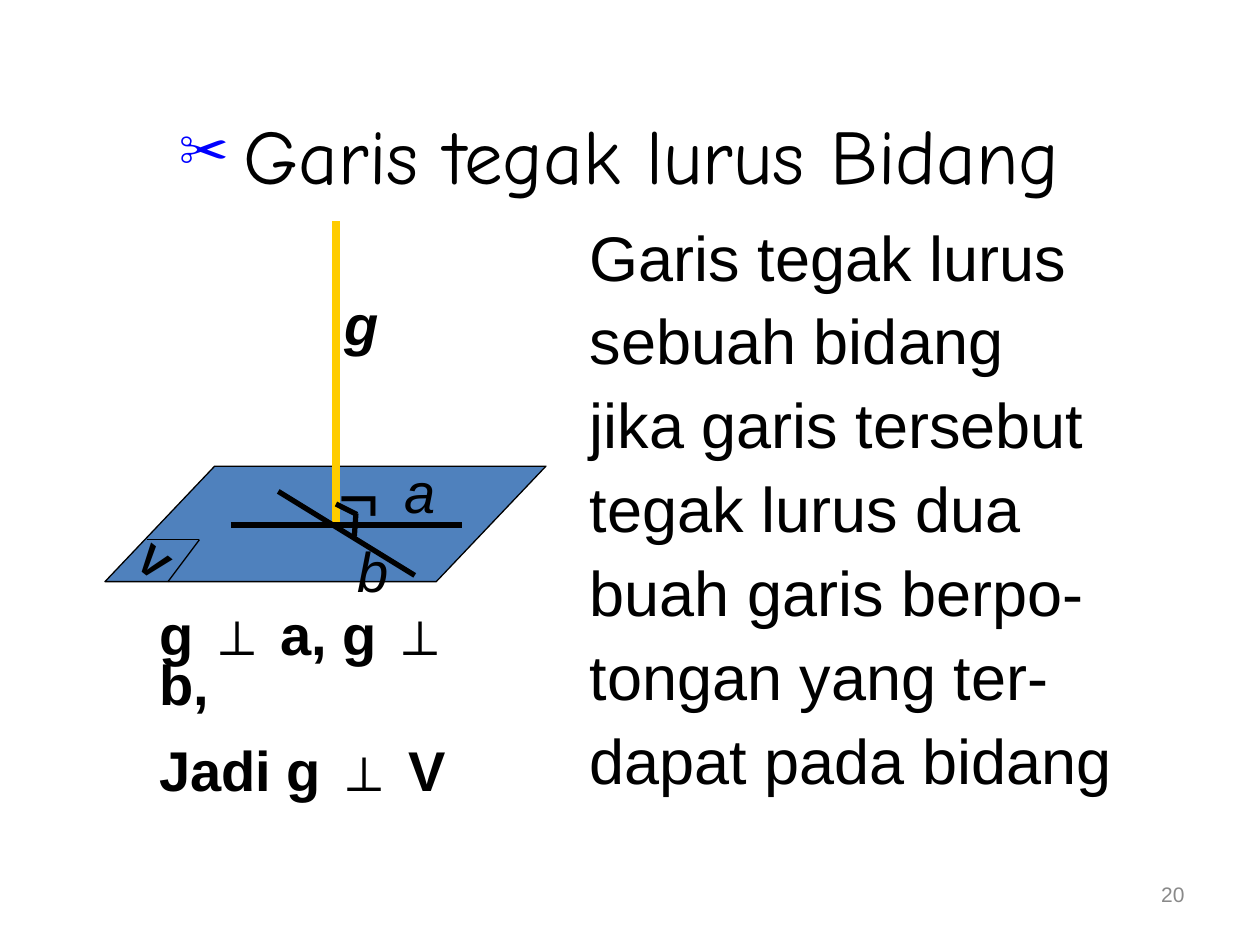
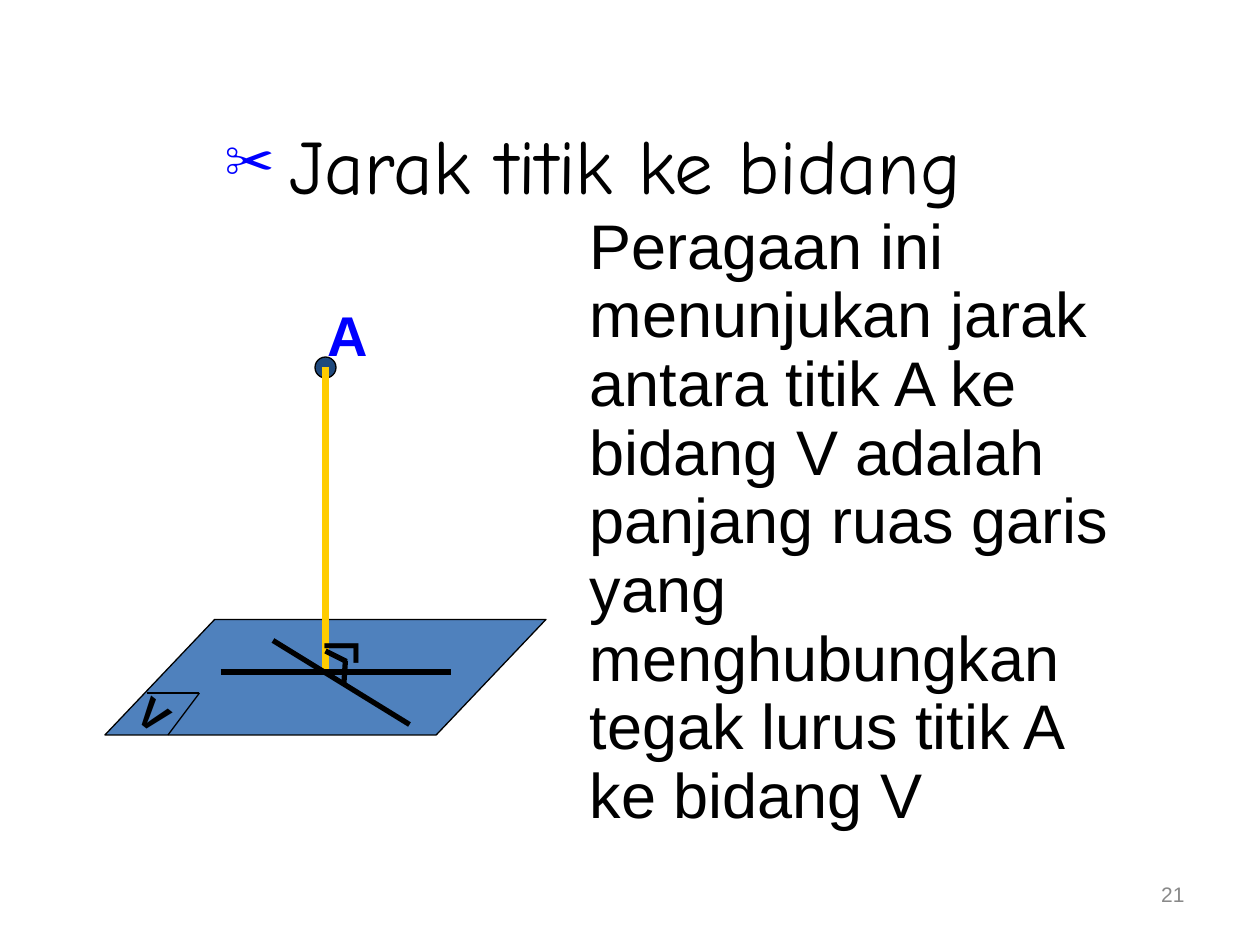
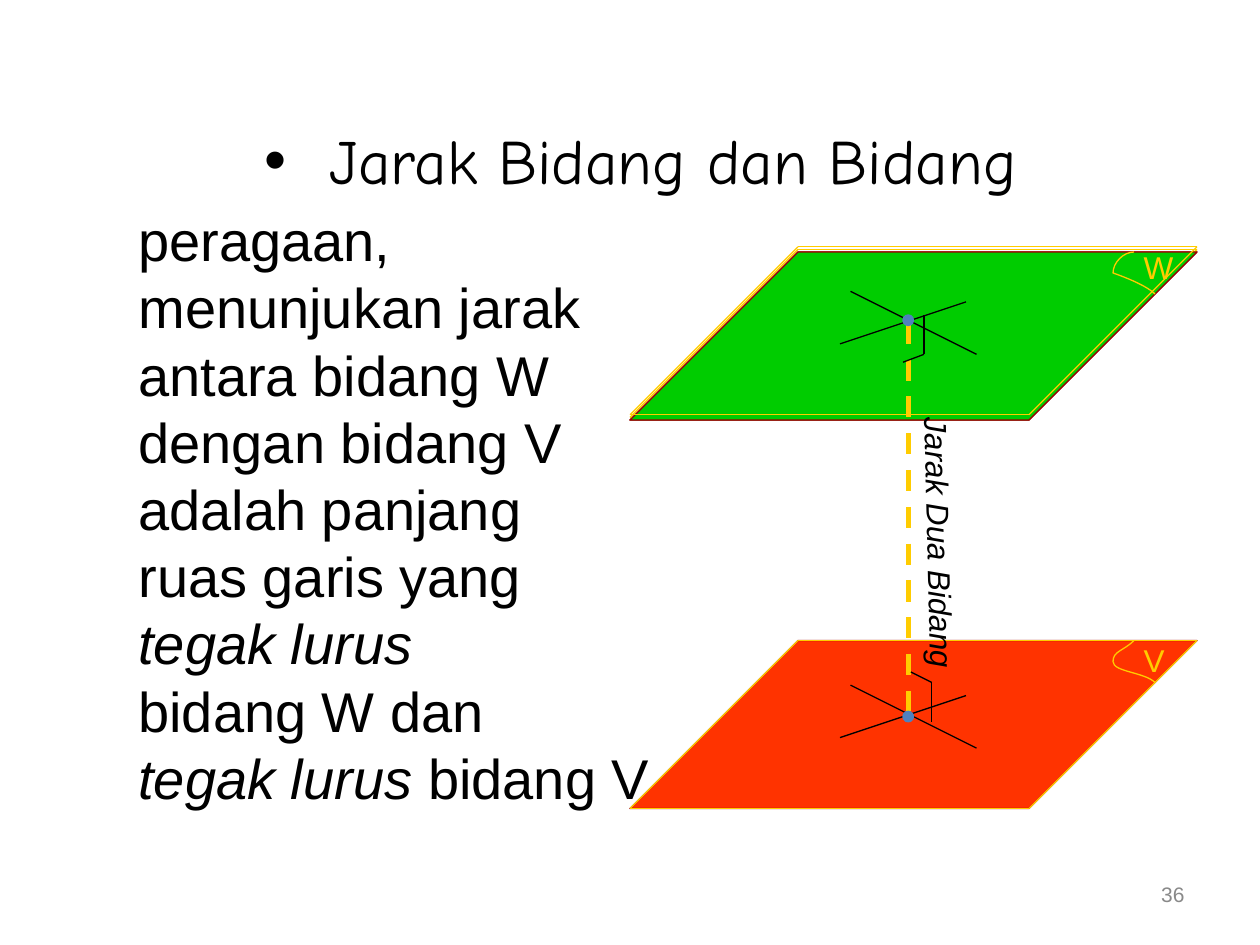
"""Builds three geometry slides on lines, points and planes."""
from dataclasses import dataclass
from typing import NamedTuple

from lxml.etree import SubElement
from pptx import Presentation
from pptx.dml.color import RGBColor
from pptx.enum.dml import MSO_LINE
from pptx.enum.shapes import MSO_CONNECTOR, MSO_SHAPE
from pptx.enum.text import MSO_ANCHOR, MSO_AUTO_SIZE, PP_ALIGN
from pptx.oxml.ns import qn
from pptx.util import Emu, Inches, Pt

COLUMNS, ROWS = 120, 90
WIDTH, HEIGHT = Inches(10), Inches(7.5)
CELL = WIDTH // COLUMNS

BLACK = RGBColor(0x00, 0x00, 0x00)
BLUE = RGBColor(0x00, 0x00, 0xFF)
GRAY = RGBColor(0x89, 0x89, 0x89)
STEEL = RGBColor(0x4F, 0x81, 0xBD)
NAVY = RGBColor(0x1F, 0x49, 0x7D)
GOLD = RGBColor(0xFF, 0xCC, 0x00)
RED = RGBColor(0xFF, 0x33, 0x00)
GREEN = RGBColor(0x00, 0xCC, 0x00)
MAROON = RGBColor(0x99, 0x00, 0x00)

BODY_FONT, TITLE_FONT = "Arial", "Comic Neue"
THIN, MEDIUM, THICK = 0.75, 3, 4.5


class Box(NamedTuple):
    """A place on the grid, in columns and rows."""
    x: float
    y: float
    w: float
    h: float


class Line(NamedTuple):
    """Two end points, in columns and rows."""
    x1: float
    y1: float
    x2: float
    y2: float


@dataclass
class Style:
    """Paragraph and font format of a text."""
    size: float
    color: RGBColor = BLACK
    bold: bool = False
    italic: bool = False
    font: str = BODY_FONT
    align: PP_ALIGN = PP_ALIGN.LEFT
    spacing: float = 1.0
    before: float = 0
    rotation: float = 0
    anchor: MSO_ANCHOR = MSO_ANCHOR.TOP


@dataclass
class Title:
    """A bulleted slide title."""
    text: str
    box: Box
    size: float
    bullet: str
    bullet_color: RGBColor
    bullet_percent: int
    spacing: float


@dataclass
class Perpendicular:
    """A line standing upright on a plane, with its crossing lines."""
    plane_top: float
    foot_x: float
    foot_y: float
    slant_dx: float
    slant_dy: float
    notch_dx: float


@dataclass
class Plane:
    """A slanted plane with a frame and a corner label."""
    name: str
    top: float
    lift: float
    fill: RGBColor


def cells(n: float) -> Emu:
    """Turn grid cells into a length."""
    return Emu(round(n * CELL))


def place(s, box: Box) -> None:
    """Move a shape to its box on the grid."""
    for name, value in zip(("left", "top", "width", "height"), box):
        setattr(s, name, cells(value))


def write(s, lines: list, style: Style) -> None:
    """Write paragraphs, each a string or a list of (text, italic) runs."""
    tf = s.text_frame
    frame = {"word_wrap": True, "auto_size": MSO_AUTO_SIZE.NONE,
             "vertical_anchor": style.anchor}
    for name, value in frame.items():
        setattr(tf, name, value)
    for i, line in enumerate(lines):
        p = tf.add_paragraph() if i else tf.paragraphs[0]
        form = {"alignment": style.align, "line_spacing": style.spacing,
                "space_before": Pt(style.before if i else 0)}
        for name, value in form.items():
            setattr(p, name, value)
        runs = [(line, style.italic)] if isinstance(line, str) else line
        for text, italic in runs:
            r = p.add_run()
            r.text = text
            font = {"size": Pt(style.size), "name": style.font,
                    "bold": style.bold, "italic": italic}
            for name, value in font.items():
                setattr(r.font, name, value)
            r.font.color.rgb = style.color


def add_text(slide, box: Box, lines: list, style: Style) -> None:
    """Add a text box."""
    s = slide.shapes.add_textbox(0, 0, CELL, CELL)
    place(s, box)
    s.rotation = style.rotation
    write(s, lines, style)


def add_bullet(p, title: Title) -> None:
    """Give a paragraph a hanging bullet."""
    pPr = p._p.get_or_add_pPr()
    pPr.set("marL", str(cells(6.2)))
    pPr.set("indent", str(-cells(6.2)))
    color = SubElement(pPr, qn("a:buClr"))
    SubElement(color, qn("a:srgbClr"), val=str(title.bullet_color))
    SubElement(pPr, qn("a:buSzPct"), val=str(title.bullet_percent * 1000))
    SubElement(pPr, qn("a:buFont"), typeface=BODY_FONT)
    SubElement(pPr, qn("a:buChar"), char=title.bullet)


def add_line(slide, line: Line, color: RGBColor = BLACK, width: float = THIN,
             dash=None) -> None:
    """Add a straight line."""
    s = slide.shapes.add_connector(MSO_CONNECTOR.STRAIGHT, *map(cells, line))
    s.line.color.rgb = color
    s.line.width = Pt(width)
    if dash:
        s.line.dash_style = dash
    SubElement(s._element.spPr, qn("a:effectLst"))


def paint(s, fill, line: RGBColor) -> None:
    """Set the fill and thin outline of a shape."""
    s.shadow.inherit = False
    if fill is None:
        s.fill.background()
    else:
        s.fill.solid()
        s.fill.fore_color.rgb = fill
    s.line.color.rgb = line
    s.line.width = Pt(THIN)


def add_preset(slide, kind: MSO_SHAPE, box: Box, fill: RGBColor,
               line: RGBColor = BLACK):
    """Add a preset shape."""
    s = slide.shapes.add_shape(kind, 0, 0, CELL, CELL)
    place(s, box)
    paint(s, fill, line)
    return s


def add_outline(slide, points: list, fill, line: RGBColor, close: bool):
    """Add a freeform through grid points."""
    builder = slide.shapes.build_freeform(*points[0], scale=CELL)
    builder.add_line_segments(points[1:], close=close)
    s = builder.convert_to_shape()
    paint(s, fill, line)
    return s


def add_curve(slide, points: list, color: RGBColor) -> None:
    """Add an open curve whose points after the first are Bezier triples."""
    s = add_outline(slide, points, None, color, False)
    outline = s._element.xpath(".//a:path")[0]
    segments = outline.findall(qn("a:lnTo"))
    for i in range(0, len(segments), 3):
        curve = SubElement(outline, qn("a:cubicBezTo"))
        for segment in segments[i:i + 3]:
            curve.append(segment[0])
            outline.remove(segment)


def add_slide(prs, title: Title, number: int):
    """Add a slide with its title and number."""
    slide = prs.slides.add_slide(prs.slide_layouts[5])
    s = slide.shapes.title
    place(s, title.box)
    add_bullet(s.text_frame.paragraphs[0], title)
    write(s, [title.text], Style(title.size, font=TITLE_FONT,
                                 align=PP_ALIGN.CENTER, spacing=title.spacing))
    add_text(slide, Box(86, 82, 28, 6.25), [str(number)],
             Style(12, GRAY, align=PP_ALIGN.RIGHT, anchor=MSO_ANCHOR.MIDDLE))
    return slide


def draw_perpendicular(slide, fig: Perpendicular) -> None:
    """Draw the plane, its upright line, crossing lines and angle marks."""
    x, y, top = fig.foot_x, fig.foot_y, fig.plane_top
    s = add_preset(slide, MSO_SHAPE.PARALLELOGRAM, Box(10, top, 42, 11), STEEL)
    s.adjustments[0] = 0.95
    if y - 29 > 30:
        add_preset(slide, MSO_SHAPE.OVAL, Box(x - 1, y - 30, 2, 2), NAVY)
    add_line(slide, Line(x, y, x, y - 29), GOLD, THICK)
    sx, sy = x + fig.slant_dx, y + fig.slant_dy
    for line in (Line(sx, sy, sx + 13, sy + 8),
                 Line(x - 10, y, x + 12, y),
                 Line(x, y - 2, x + 2, y - 1),
                 Line(x + 1.9, y - 1.1, x + 1.75, y + 1.1)):
        add_line(slide, line, width=MEDIUM)
    add_text(slide, Box(12, top + 6.6, 7, 6), ["V"],
             Style(24, bold=True, rotation=38.1))
    add_line(slide, Line(14, top + 7, 19, top + 7))
    add_line(slide, Line(19, top + 7, 16, top + 11))
    add_text(slide, Box(x + fig.notch_dx, y - 7.45, 6.1, 9.2), ["¬"], Style(40))


def draw_plane(slide, plane: Plane) -> None:
    """Draw a plane with its frame, corner arc and label."""
    corners = [(76, 0), (60, 16), (98, 16), (114, 0)]
    add_outline(slide, [(x, plane.top + y) for x, y in corners],
                plane.fill, MAROON, True)
    edge = plane.top - plane.lift
    for (x1, y1), (x2, y2) in zip(corners, corners[1:] + corners[:1]):
        add_line(slide, Line(x1, edge + y1, x2, edge + y2), GOLD)
    add_text(slide, Box(107.75, edge - 0.5, 5, 4.8), [plane.name],
             Style(18, GOLD))
    arc = [(108.1, 0), (106.95, 0.7), (105.8, 1.35), (106.15, 2.05),
           (106.5, 2.75), (109.1, 3.45), (110, 4)]
    add_curve(slide, [(x, edge + y) for x, y in arc], GOLD)


def draw_cross(slide, top: float) -> None:
    """Draw the two lines that cross inside a plane."""
    add_line(slide, Line(81, top + 4, 93, top + 10))
    add_line(slide, Line(80, top + 9, 92, top + 5))


def line_and_plane(prs) -> None:
    """Slide on a line perpendicular to a plane."""
    slide = add_slide(prs, Title("Garis tegak lurus Bidang", Box(12, 12, 94, 7.5),
                                 44, "✂", BLUE, 65, 0.7), 20)
    add_text(slide, Box(55, 21, 55, 55.7),
             ["Garis tegak lurus", "sebuah bidang", "jika garis tersebut",
              "tegak lurus dua", "buah garis berpo-", "tongan yang ter-",
              "dapat pada bidang"], Style(36, spacing=0.9, before=9))
    draw_perpendicular(slide, Perpendicular(44.4, 32, 50, -5.5, -3.2, -0.9))
    for name, x, y, bold in (("g", 29.4, 27, True), ("a", 35, 43, False),
                             ("b", 30.5, 50.5, False)):
        add_text(slide, Box(x, y, 10, 7.7), [name],
                 Style(32, bold=bold, italic=True, align=PP_ALIGN.CENTER))
    add_text(slide, Box(14, 58, 35, 14.2), ["g ⊥ a, g ⊥ b,", "Jadi g ⊥ V"],
             Style(32, bold=True, spacing=0.75, before=20))


def point_and_plane(prs) -> None:
    """Slide on the distance from a point to a plane."""
    slide = add_slide(prs, Title("Jarak titik ke bidang", Box(15, 13, 83, 7.5),
                                 44, "✂", BLUE, 65, 0.7), 21)
    add_text(slide, Box(55, 21, 53, 58.7),
             ["Peragaan ini", "menunjukan jarak", "antara titik A ke",
              "bidang V adalah", "panjang ruas garis", "yang",
              "menghubungkan", "tegak lurus titik A", "ke bidang V"],
             Style(36, spacing=0.7, before=9))
    draw_perpendicular(slide, Perpendicular(59, 31, 64, -5, -3, -1.6))
    add_text(slide, Box(30, 28, 6, 7.7), ["A"], Style(32, BLUE, bold=True))


def plane_and_plane(prs) -> None:
    """Slide on the distance between two planes."""
    slide = add_slide(prs, Title("Jarak Bidang dan Bidang", Box(21, 11, 80, 8.4),
                                 36, "•", BLACK, 100, 1.0), 36)
    draw_plane(slide, Plane("V", 61, 0, RED))
    add_text(slide, Box(12, 19, 54, 58.8),
             ["peragaan,", "menunjukan jarak", "antara bidang W",
              "dengan bidang V", "adalah panjang", "ruas garis yang",
              [("tegak lurus", True)], "bidang W dan",
              [("tegak lurus", True), (" bidang V", False)]],
             Style(32, align=PP_ALIGN.JUSTIFY))
    for top in (24, 23.75):
        draw_plane(slide, Plane("W", top, 0.25, GREEN))
        draw_cross(slide, top)
    draw_cross(slide, 61.25)
    add_line(slide, Line(86.5, 30.75, 86.5, 67.75), GOLD, MEDIUM,
             MSO_LINE.DASH)
    for line in (Line(88, 30, 88, 33.75), Line(86, 34.5, 88, 33.75),
                 Line(88.75, 65, 88.75, 68.75), Line(86.75, 64, 88.75, 65)):
        add_line(slide, line)
    for y in (30, 67.75):
        add_preset(slide, MSO_SHAPE.OVAL, Box(86, y, 1, 1), STEEL, STEEL)
    add_text(slide, Box(73.5, 49.3, 32, 4.8), ["Jarak Dua Bidang"],
             Style(18, italic=True, align=PP_ALIGN.CENTER, rotation=88.6))


def main() -> None:
    """Build and save the slides."""
    prs = Presentation()
    prs.slide_width, prs.slide_height = WIDTH, HEIGHT
    for build in (line_and_plane, point_and_plane, plane_and_plane):
        build(prs)
    prs.save("out.pptx")


if __name__ == "__main__":
    main()
